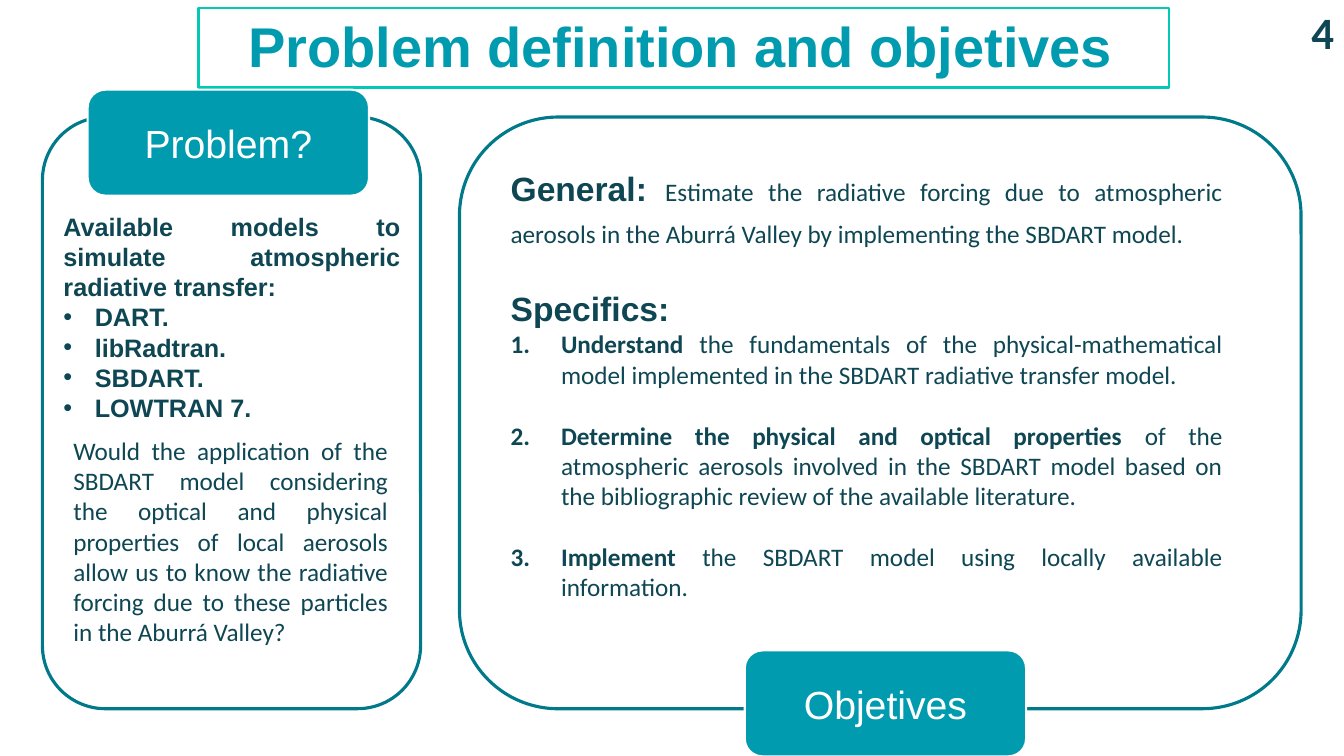
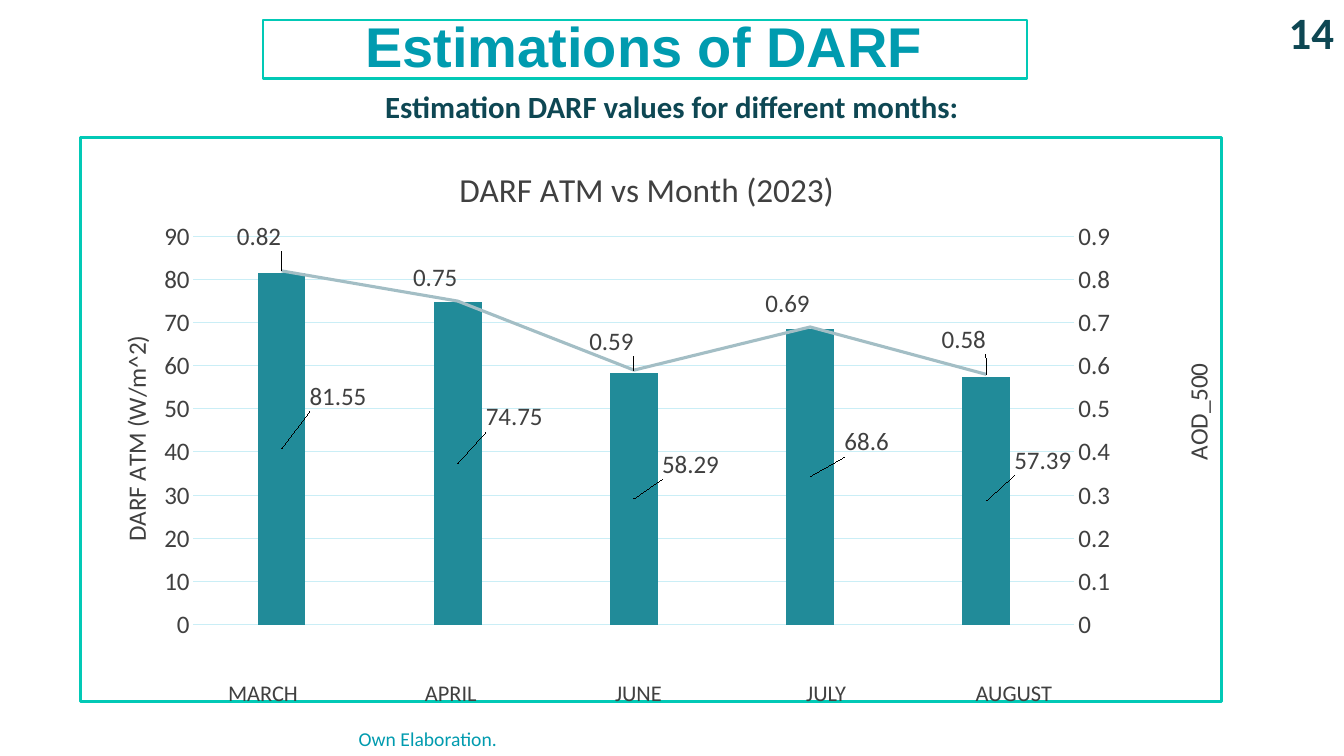
from copy import deepcopy

from pptx import Presentation, util as u
from pptx.chart.data import CategoryChartData
from pptx.dml.color import RGBColor
from pptx.enum import chart as charts, shapes, text
from pptx.oxml import parse_xml
from pptx.oxml.ns import nsdecls, qn

TEAL, MINT, OUTLINE = "009BAF", "02C9B6", "007A8A"
INK, WHITE, GREY = "0E4753", "FFFFFF", "404040"
BAR, LINE, GRID = "218B99", "A3BEC5", "CAEEF6"
CENTER, RIGHT, JUSTIFY = (text.PP_ALIGN.CENTER, text.PP_ALIGN.RIGHT,
                          text.PP_ALIGN.JUSTIFY)

TITLE = dict(name="Arial", size=40, bold=True, color=TEAL)
NUMBER = dict(name="Calibri", size=32, bold=True, color=INK)
TAB = dict(name="Arial", size=28, color=WHITE)
HEADING = dict(name="Arial", size=24, bold=True, color=INK)
STRONG = dict(name="Arial", size=18, bold=True, color=INK)
BODY = dict(name="Calibri", size=18, bold=False, color=INK)
BODY_BOLD = {**BODY, "bold": True}
SUBTITLE = {**BODY_BOLD, "size": 22}
SOURCE = dict(name="Calibri", size=14, color=TEAL)
CHART = dict(name="Calibri", size=18, bold=False, color=GREY)
CHART_TITLE = {**CHART, "size": 24}
MONTH = {**CHART, "size": 16}

BULLET = ('<a:buFont {} typeface="Arial"/>', '<a:buChar {} char="•"/>')
NUMBERED = ('<a:buFont {} typeface="+mj-lt"/>',
            '<a:buAutoNum {} type="arabicPeriod"/>')


def rgb(value):
    return RGBColor.from_string(value)


def lengths(box):
    return [u.Cm(value) for value in box]


def set_font(font, style):
    for key, value in style.items():
        if key == "color":
            font.color.rgb = rgb(value)
        else:
            setattr(font, key, u.Pt(value) if key == "size" else value)


def fill_paragraph(paragraph, runs, **formats):
    """Write (text, style) runs and set the paragraph's formats."""
    for key, value in formats.items():
        setattr(paragraph, key, value)
    for words, style in runs:
        run = paragraph.add_run()
        run.text = words
        set_font(run.font, style)


def add_marker(paragraph, marker, indent):
    """Give a paragraph a hanging bullet or number."""
    properties = paragraph._p.get_or_add_pPr()
    properties.set("marL", str(u.Cm(indent)))
    properties.set("indent", str(-u.Cm(indent)))
    for element in marker:
        properties.append(parse_xml(element.format(nsdecls("a"))))


def add_text(slide, box, runs, **formats):
    """Add a wrapped text box and return its frame."""
    frame = slide.shapes.add_textbox(*lengths(box)).text_frame
    frame.word_wrap = True
    fill_paragraph(frame.paragraphs[0], runs, **formats)
    return frame


def add_box(slide, kind, box, line, width, fill=None):
    shape = slide.shapes.add_shape(kind, *lengths(box))
    shape.shadow.inherit = False
    shape.line.color.rgb = rgb(line)
    shape.line.width = u.Pt(width)
    if fill:
        shape.fill.solid()
        shape.fill.fore_color.rgb = rgb(fill)
    else:
        shape.fill.background()
    return shape


def add_slide(presentation, title, title_box, frame_box, number):
    """Start a slide with its framed title and page number."""
    slide = presentation.slides.add_slide(presentation.slide_layouts[5])
    holder = slide.shapes.title
    holder.left, holder.top, holder.width, holder.height = lengths(title_box)
    holder.text_frame.vertical_anchor = text.MSO_ANCHOR.MIDDLE
    holder.text_frame.auto_size = text.MSO_AUTO_SIZE.NONE
    fill_paragraph(holder.text_frame.paragraphs[0], [(title, TITLE)],
                   alignment=CENTER, line_spacing=0.7)
    add_box(slide, shapes.MSO_SHAPE.RECTANGLE, frame_box, MINT, 1.75)
    add_text(slide, (28.87, 0, 5, 1.63), [(number, NUMBER)], alignment=RIGHT)
    return slide


def add_panel(slide, box, label, tab_left, tab_top):
    """Add a rounded panel with a tab placed from the panel's corner."""
    rounded = shapes.MSO_SHAPE.ROUNDED_RECTANGLE
    add_box(slide, rounded, box, OUTLINE, 2.25)
    tab = add_box(slide, rounded,
                  (box[0] + tab_left, box[1] + tab_top, 7.09, 2.67),
                  WHITE, 1.5, TEAL)
    fill_paragraph(tab.text_frame.paragraphs[0], [(label, TAB)],
                   alignment=CENTER)


def problem_panel(slide, box):
    left, top, width, height = box
    add_panel(slide, box, "Problem?", 1.14, -0.69)
    frame = add_text(
        slide, (left + 0.28, top + 2.24, 8.99, 4.88),
        [("Available models to simulate atmospheric radiative transfer:",
          STRONG)], alignment=JUSTIFY)
    for model in ("DART.", "libRadtran.", "SBDART.", "LOWTRAN 7."):
        paragraph = frame.add_paragraph()
        add_marker(paragraph, BULLET, 0.79)
        fill_paragraph(paragraph, [(model, STRONG)], alignment=JUSTIFY)
    add_text(
        slide, (left + 0.53, top + 7.89, 8.43, 5.63),
        [("Would the application of the SBDART model considering the optical "
          "and physical properties of local aerosols allow us to know the "
          "radiative forcing due to these particles in the Aburrá Valley?",
          BODY)], alignment=JUSTIFY)


def objectives_panel(slide, box):
    left, top, width, height = box
    add_panel(slide, box, "Objetives", 7.19, 13.44)
    add_text(
        slide, (left + 1.04, top + 1.14, 18.44, 2.31),
        [("General: ", HEADING),
         ("Estimate the radiative forcing due to atmospheric aerosols in the "
          "Aburrá Valley by implementing the SBDART model.", BODY)],
        alignment=JUSTIFY, line_spacing=u.Pt(29))
    frame = add_text(slide, (left + 1.04, top + 4.19, 18.44, 8.2),
                     [("Specifics:", HEADING)], alignment=JUSTIFY)
    specifics = (
        ("Understand ", "the fundamentals of the physical-mathematical model "
         "implemented in the SBDART radiative transfer model."),
        ("Determine the physical and optical properties ", "of the "
         "atmospheric aerosols involved in the SBDART model based on the "
         "bibliographic review of the available literature."),
        ("Implement ", "the SBDART model using locally available "
         "information."))
    for index, (verb, rest) in enumerate(specifics):
        paragraph = frame.add_paragraph()
        add_marker(paragraph, NUMBERED, 1.27)
        fill_paragraph(paragraph, [(verb, BODY_BOLD), (rest, BODY)],
                       alignment=JUSTIFY,
                       space_before=u.Pt(22 if index else 0))


def place(parent, index, inner=False, edge=True, **values):
    """Give a chart part a manual layout, in shares of the chart."""
    for old in parent.findall(qn("c:layout")):
        parent.remove(old)
    target = '<c:layoutTarget val="inner"/>' if inner else ""
    modes = '<c:xMode val="edge"/><c:yMode val="edge"/>' if edge else ""
    parts = "".join(f'<c:{key} val="{value}"/>'
                    for key, value in values.items())
    parent.insert(index, parse_xml(
        f'<c:layout {nsdecls("c")}><c:manualLayout>{target}{modes}{parts}'
        '</c:manualLayout></c:layout>'))


def format_value_axis(axis):
    """Style the left value axis, which the right one is derived from."""
    axis.minimum_scale, axis.maximum_scale, axis.major_unit = 0, 90, 10
    axis.major_tick_mark = axis.minor_tick_mark = charts.XL_TICK_MARK.NONE
    axis.format.line.fill.background()
    axis.major_gridlines.format.line.color.rgb = rgb(GRID)
    axis.major_gridlines.format.line.width = u.Pt(0.75)
    set_font(axis.tick_labels.font, CHART)
    frame = axis.axis_title.text_frame
    fill_paragraph(frame.paragraphs[0], [("DARF ATM (W/m^2)", CHART)])
    frame._txBody.bodyPr.set("rot", "-5400000")


def add_right_axis(plot_area):
    """Move the second series to a line on its own axes."""
    bars = plot_area.find(qn("c:barChart"))
    series = bars.findall(qn("c:ser"))[1]
    for element in series.findall(qn("c:invertIfNegative")):
        series.remove(element)
    line_chart = parse_xml(
        f'<c:lineChart {nsdecls("c")}><c:grouping val="standard"/>'
        '<c:varyColors val="0"/><c:marker val="1"/>'
        '<c:axId val="501"/><c:axId val="502"/></c:lineChart>')
    line_chart.insert(2, series)
    bars.addnext(line_chart)
    left_axis = plot_area.find(qn("c:valAx"))
    months = deepcopy(plot_area.find(qn("c:catAx")))
    right_axis = deepcopy(left_axis)
    right_axis.remove(right_axis.find(qn("c:majorGridlines")))
    for axis, own, other in ((months, "501", "502"),
                             (right_axis, "502", "501")):
        axis.find(qn("c:axId")).set("val", own)
        axis.find(qn("c:crossAx")).set("val", other)
    for tag, value in (("axPos", "r"), ("crosses", "max"), ("max", "0.9"),
                       ("majorUnit", "0.1")):
        next(right_axis.iter(qn(f"c:{tag}"))).set("val", value)
    next(right_axis.iter(qn("a:t"))).text = "AOD_500"
    left_axis.addnext(right_axis)
    right_axis.addnext(months)
    place(left_axis.find(qn("c:title")), 1, x=0.03, y=0.34)
    place(right_axis.find(qn("c:title")), 1, x=0.97, y=0.39)


def label_points(series, offsets):
    """Show each value, shifted from the centre of its point."""
    for index in range(len(offsets)):
        label = series.points[index].data_label
        set_font(label.font, CHART)
        label.position = charts.XL_LABEL_POSITION.CENTER
    element = series._element
    for label, (x, y) in zip(element.iter(qn("c:dLbl")), offsets):
        place(label, 1, edge=False, x=x, y=y)


def darf_chart(slide, box):
    left, top, width, height = box
    data = CategoryChartData()
    data.categories = ["1", "2", "3", "4", "5"]
    data.add_series("Series 1", (81.55, 74.75, 58.29, 68.6, 57.39))
    data.add_series("Series 2", (0.82, 0.75, 0.59, 0.69, 0.58))
    chart = slide.shapes.add_chart(charts.XL_CHART_TYPE.COLUMN_CLUSTERED,
                                   *lengths(box), data).chart
    set_font(chart.font, MONTH)
    chart.has_legend = False
    fill_paragraph(chart.chart_title.text_frame.paragraphs[0],
                   [("DARF ATM vs Month (2023)", CHART_TITLE)])
    chart.category_axis.visible = False
    format_value_axis(chart.value_axis)
    plot_area = next(chart.element.iter(qn("c:plotArea")))
    add_right_axis(plot_area)
    place(chart.chart_title.element, 1, x=0.33, y=0.05)
    place(plot_area, 0, inner=True, x=0.1, y=0.18, w=0.78, h=0.67)

    # Columns and line
    column_plot, line_plot = chart.plots
    column_plot.gap_width, column_plot.overlap = 269, -27
    column_plot.vary_by_categories = False
    columns, line = column_plot.series[0], line_plot.series[0]
    columns.format.fill.solid()
    columns.format.fill.fore_color.rgb = rgb(BAR)
    line.format.line.color.rgb = rgb(LINE)
    line.format.line.width = u.Pt(2.25)
    line.marker.style = charts.XL_MARKER_STYLE.NONE
    line.smooth = False
    label_points(columns, [(0.05, y) for y in
                           (-0.09, -0.08, -0.06, -0.06, -0.07)])
    label_points(line, [(-0.02, y) for y in
                        (-0.06, -0.04, -0.05, -0.04, -0.06)])

    # Frame and month names
    add_box(slide, shapes.MSO_SHAPE.RECTANGLE,
            (left, top + 0.13, width, 14.22), MINT, 1.75)
    for index, month in enumerate(("MARCH", "APRIL", "JUNE", "JULY",
                                   "AUGUST")):
        add_text(slide, (left + 2.25 + 4.73 * index, top + 13.65, 4.7, 0.94),
                 [(month, MONTH)], alignment=CENTER)


def main():
    presentation = Presentation()
    presentation.slide_width, presentation.slide_height = lengths(
        (33.87, 19.05))

    # Problem and objectives
    slide = add_slide(presentation, "Problem definition and objetives",
                      (4.09, 0.61, 26.11, 1.47), (5, 0.2, 24.46, 2.01), "4")
    problem_panel(slide, (1.07, 2.95, 9.53, 14.91))
    objectives_panel(slide, (11.58, 2.95, 21.21, 14.91))

    # Monthly estimations
    slide = add_slide(presentation, "Estimations of DARF",
                      (3.89, 0.61, 24.66, 1.47), (6.63, 0.5, 19.25, 1.48),
                      "14")
    darf_chart(slide, (2.03, 3.33, 28.75, 14.6))
    add_text(slide, (7.06, 2.08, 19.74, 1.2),
             [("Estimation DARF values for different months:", SUBTITLE)],
             alignment=CENTER)
    add_text(slide, (8.79, 18.19, 10.85, 0.86),
             [("Own Elaboration.", SOURCE)], alignment=JUSTIFY)

    presentation.save("out.pptx")


if __name__ == "__main__":
    main()
